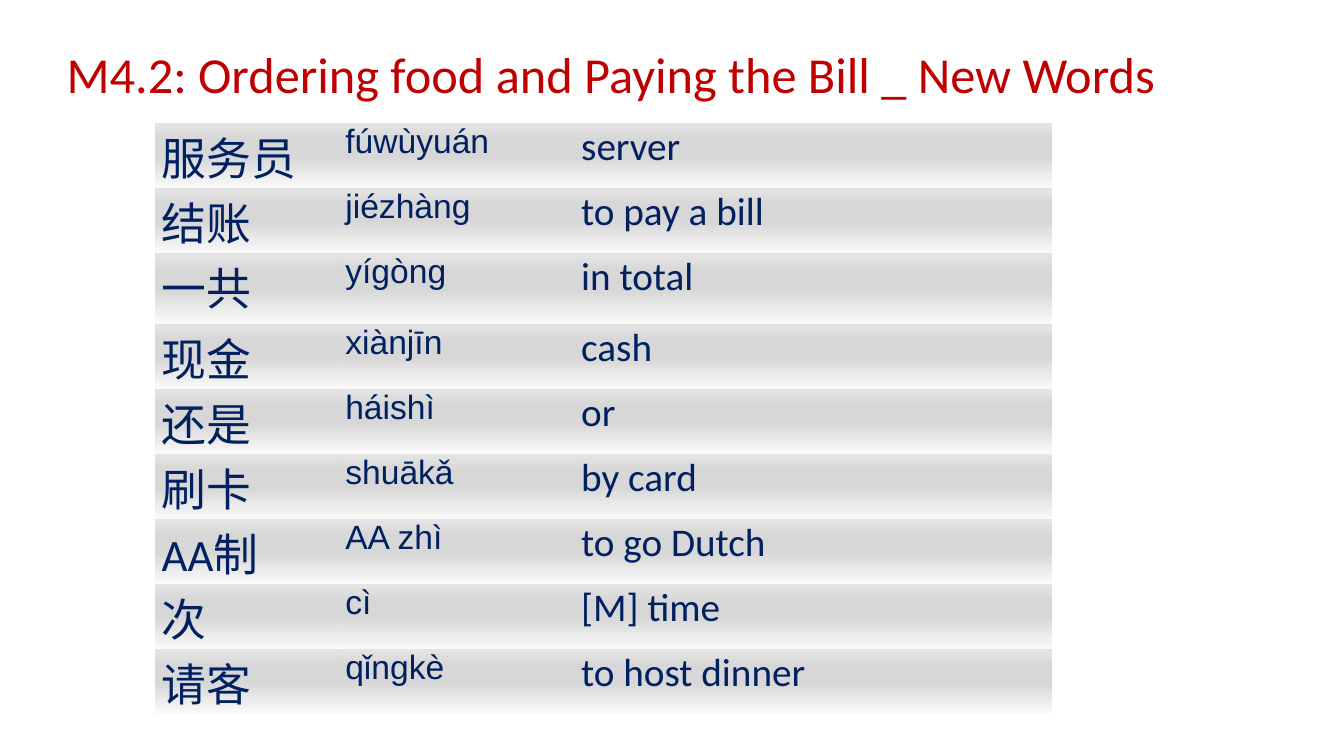
"""Build a vocabulary slide on ordering food and paying the bill."""
from lxml import etree
from pptx import Presentation
from pptx.dml.color import RGBColor
from pptx.enum.text import MSO_ANCHOR, MSO_AUTO_SIZE, PP_ALIGN
from pptx.oxml.ns import qn
from pptx.util import Pt

MIDDLE, TOP = MSO_ANCHOR.MIDDLE, MSO_ANCHOR.TOP
NO_FIT = MSO_AUTO_SIZE.NONE
LEFT = PP_ALIGN.LEFT
PLAIN_STYLE = "{2D5ABB26-0587-4C30-8999-92F81FD0307C}"
COLORS = {"title": "C00000", "text": "002060",
          "light": "FAFAFA", "mid": "D7D7D7", "edge": "E4E4E4"}
STOPS = [(0, "light"), (49, "mid"), (74, "mid"), (100, "edge")]
COLUMNS = [(131.2, "Calibri", 32), (168.5, "Arial", 24), (341.3, "Calibri", 28)]
ROW_HEIGHTS = [45.4, 43.2, 50.4] + [43.2] * 6
WORDS = [
    ("服务员", "fúwùyuán", "server"),
    ("结账", "jiézhàng", "to pay a bill"),
    ("一共", "yígòng", "in total"),
    ("现金", "xiànjīn", "cash"),
    ("还是", "háishì", "or"),
    ("刷卡", "shuākǎ", "by card"),
    ("AA制", "AA zhì", "to go Dutch"),
    ("次", "cì", "[M] time"),
    ("请客", "qǐngkè", "to host dinner"),
]


def write(tf, text, font, size, color):
    tf.text = text
    p = tf.paragraphs[0]
    p.alignment = LEFT
    r = p.runs[0]
    r.font.name = font
    r.font.size = Pt(size)
    r.font.color.rgb = RGBColor.from_string(COLORS[color])
    return p


def shade(cell):
    grad = etree.SubElement(cell._tc.get_or_add_tcPr(), qn("a:gradFill"))
    stops = etree.SubElement(grad, qn("a:gsLst"))
    for pos, color in STOPS:
        gs = etree.SubElement(stops, qn("a:gs"), pos=str(pos * 1000))
        etree.SubElement(gs, qn("a:srgbClr"), val=COLORS[color])
    etree.SubElement(grad, qn("a:lin"), ang="16200000", scaled="0")


prs = Presentation()
prs.slide_width, prs.slide_height = Pt(960), Pt(540)
s = prs.slides.add_slide(prs.slide_layouts[5])

title = s.shapes.title
title.left, title.top, title.width, title.height = Pt(40.3), Pt(30.2), Pt(828), Pt(50.4)
tf = title.text_frame
tf.auto_size = NO_FIT
tf.vertical_anchor = MIDDLE
p = write(tf, "M4.2: Ordering food and Paying the Bill _ New Words", "Calibri", 36, "title")
p.line_spacing = 0.9

frame = s.shapes.add_table(len(WORDS), len(COLUMNS), Pt(110.5), Pt(88.1),
                           Pt(641), Pt(sum(ROW_HEIGHTS)))
table = frame.table
table._tbl.tblPr.find(qn("a:tableStyleId")).text = PLAIN_STYLE
table.first_row = table.horz_banding = False
for col, (width, font, size) in enumerate(COLUMNS):
    table.columns[col].width = Pt(width)
    for row, words in enumerate(WORDS):
        table.rows[row].height = Pt(ROW_HEIGHTS[row])
        cell = table.cell(row, col)
        cell.margin_left = cell.margin_right = Pt(5)
        cell.margin_top = cell.margin_bottom = Pt(0)
        cell.vertical_anchor = TOP
        write(cell.text_frame, words[col], font, size, "text")
        shade(cell)

prs.save("out.pptx")
